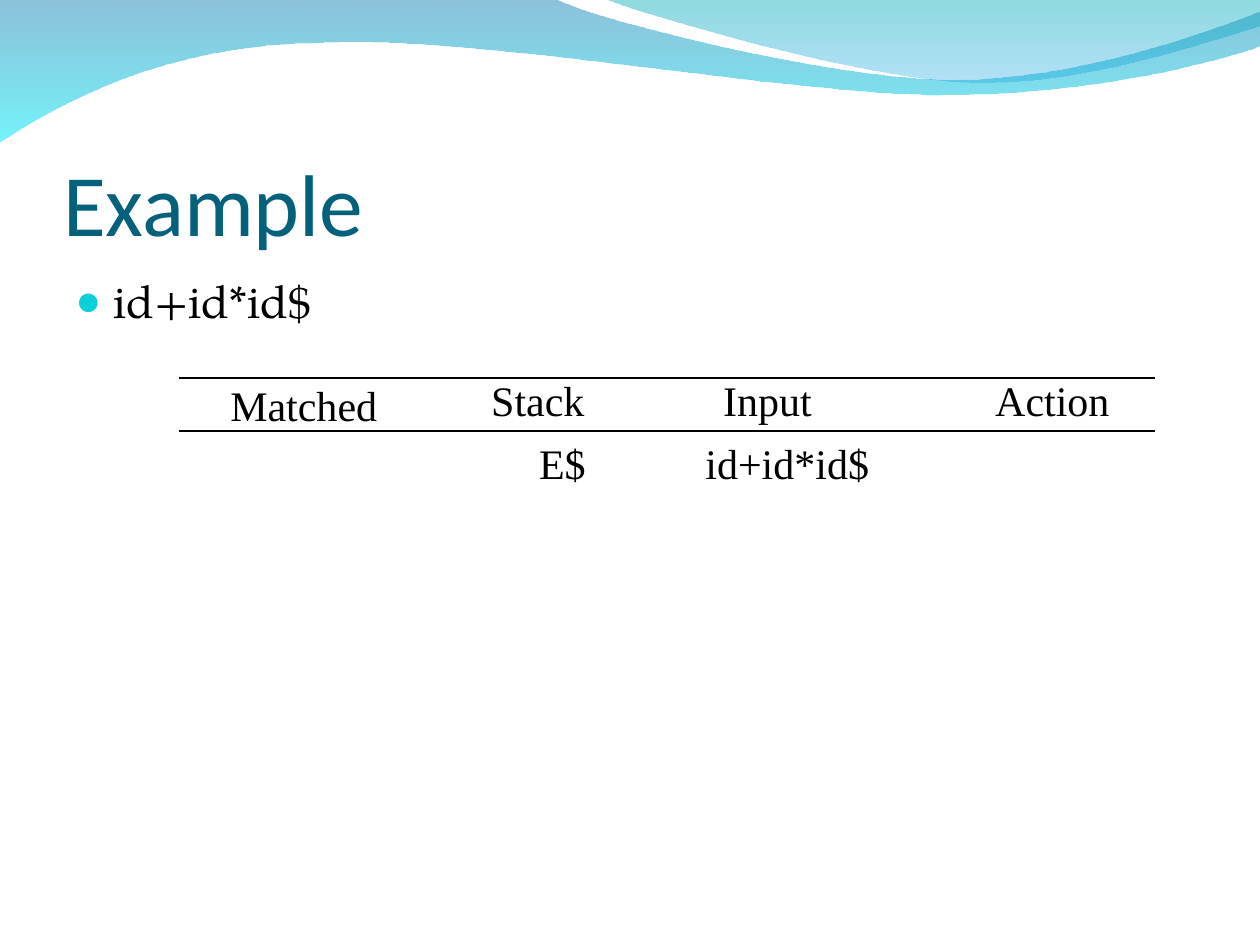
from dataclasses import dataclass

from lxml import etree
from pptx import Presentation
from pptx.dml.color import RGBColor
from pptx.enum import shapes, text
from pptx.oxml import ns
from pptx.util import Inches, Pt

BLACK = "000000"
SERIF = "Times New Roman"


@dataclass
class Wave:
    """A start point, then lines (one point) and Bezier curves (three points)."""
    start: tuple
    segments: list
    stops: list  # position %, colour, opacity %


@dataclass
class Label:
    words: str
    left: float
    top: float
    width: float


WAVES = [
    Wave((0, -0.01), [
        [(4.4, -0.01)],
        [(4.76, 0.17), (6.64, 0.63), (7.58, 0.63)],
        [(8.53, 0.63), (9.58, 0.26), (10, 0.09)],
        [(10.01, 0.36)],
        [(9.83, 0.44), (8.7, 0.76), (7.46, 0.75)],
        [(6.22, 0.75), (3.82, 0.28), (2.57, 0.34)],
        [(1.29, 0.35), (0.46, 0.83), (-0.01, 1.13)],
    ], [(0, "0079AF", 45), (100, "00EBF8", 55)]),
    Wave((4.79, -0.01), [
        [(5.09, 0.11), (6.82, 0.62), (7.69, 0.65)],
        [(8.56, 0.69), (9.61, 0.32), (10, 0.21)],
        [(10, 0)],
    ], [(0, "00ADB6", 45), (100, "009BE5", 30)]),
]

RULE_LEFT, RULE_RIGHT = 1.42, 9.17
RULE_TOPS = (3, 3.42)
HEADER_TOP, ROW_TOP = 2.92, 3.42
LABELS = [
    Label("Matched", 1.73, 2.96, 1.37),
    Label("Stack", 3.8, HEADER_TOP, 0.95),
    Label("Input", 5.64, HEADER_TOP, 0.91),
    Label("Action", 7.8, HEADER_TOP, 1.12),
    Label("E$", 4.18, ROW_TOP, 0.58),
    Label("id+id*id$", 5.5, ROW_TOP, 1.51),
]


def rgb(value: str) -> RGBColor:
    return RGBColor.from_string(value)


def add_element(parent, tag: str, **attributes):
    element = etree.SubElement(parent, ns.qn(tag))
    for name, value in attributes.items():
        element.set(name, str(value))
    return element


def bend_curves(shape, segments: list) -> None:
    """Turn each three-point run of the outline into one Bezier curve."""
    lines = iter(list(shape._element.iter(ns.qn("a:lnTo"))))
    for segment in segments:
        corners = [next(lines) for _ in segment]
        if len(corners) == 1:
            continue
        curve = etree.Element(ns.qn("a:cubicBezTo"))
        corners[0].addprevious(curve)
        for corner in corners:
            curve.append(corner[0])
            corner.getparent().remove(corner)


def add_wave(slide, wave: Wave) -> None:
    points = [wave.start] + [point for segment in wave.segments for point in segment]
    points = [(Inches(x), Inches(y)) for x, y in points]
    builder = slide.shapes.build_freeform(*points[0])
    builder.add_line_segments(points[1:], close=True)
    shape = builder.convert_to_shape()
    bend_curves(shape, wave.segments)
    shape.shadow.inherit = False
    shape.line.fill.background()
    shape.fill.gradient()
    gradient = shape._element.spPr.find(ns.qn("a:gradFill"))
    for child in list(gradient):
        gradient.remove(child)
    stop_list = add_element(gradient, "a:gsLst")
    for position, colour, opacity in wave.stops:
        stop = add_element(stop_list, "a:gs", pos=position * 1000)
        fill = add_element(stop, "a:srgbClr", val=colour)
        add_element(fill, "a:alpha", val=opacity * 1000)
    add_element(gradient, "a:lin", ang=90 * 60000, scaled=0)


def add_run(paragraph, words: str, size: float, font: str, colour: str) -> None:
    paragraph.alignment = text.PP_ALIGN.LEFT
    run = paragraph.add_run()
    run.text = words
    run.font.size = Pt(size)
    run.font.name = font
    run.font.color.rgb = rgb(colour)


def set_title(slide) -> None:
    title = slide.shapes.title
    title.left, title.top = Inches(0.5), Inches(0.77)
    title.width, title.height = Inches(9), Inches(1.25)
    frame = title.text_frame
    frame.auto_size = text.MSO_AUTO_SIZE.NONE
    frame.vertical_anchor = text.MSO_ANCHOR.BOTTOM
    frame.margin_left = frame.margin_right = frame.margin_bottom = 0
    frame.margin_top = Inches(0.05)
    add_run(frame.paragraphs[0], "Example", 50, "Calibri", "04617B")
    slide.shapes._spTree.append(title._element)  # in front of the waves


def add_bullet_text(slide, words: str) -> None:
    box = slide.shapes.add_textbox(Inches(0.5), Inches(2.12), Inches(9), Inches(4.8))
    box.text_frame.word_wrap = True
    paragraph = box.text_frame.paragraphs[0]
    properties = paragraph._p.get_or_add_pPr()
    properties.set("marL", str(Inches(0.3)))
    properties.set("indent", str(Inches(-0.3)))
    bullet_colour = add_element(properties, "a:buClr")
    add_element(bullet_colour, "a:srgbClr", val="0BD0D9")
    add_element(properties, "a:buSzPct", val=95000)
    add_element(properties, "a:buFont", typeface=SERIF)
    add_element(properties, "a:buChar", char="●")
    add_run(paragraph, words, 26, "TeX Gyre Pagella", BLACK)


def add_rule(slide, top: float) -> None:
    line = slide.shapes.add_connector(
        shapes.MSO_CONNECTOR.STRAIGHT,
        Inches(RULE_LEFT), Inches(top), Inches(RULE_RIGHT), Inches(top))
    line.line.color.rgb = rgb(BLACK)
    line.line.width = Pt(0.75)
    add_element(line._element.spPr, "a:effectLst")


def add_label(slide, label: Label) -> None:
    box = slide.shapes.add_textbox(Inches(label.left), Inches(label.top),
                                   Inches(label.width), Inches(0.5))
    box.text_frame.word_wrap = False
    box.text_frame.auto_size = text.MSO_AUTO_SIZE.SHAPE_TO_FIT_TEXT
    add_run(box.text_frame.paragraphs[0], label.words, 24, SERIF, BLACK)


def main() -> None:
    presentation = Presentation()
    presentation.slide_width, presentation.slide_height = Inches(10), Inches(7.5)
    slide = presentation.slides.add_slide(presentation.slide_layouts.get_by_name("Title Only"))
    for wave in WAVES:
        add_wave(slide, wave)
    set_title(slide)
    add_bullet_text(slide, "id+id*id$")
    for top in RULE_TOPS:
        add_rule(slide, top)
    for label in LABELS:
        add_label(slide, label)
    presentation.save("out.pptx")


if __name__ == "__main__":
    main()
